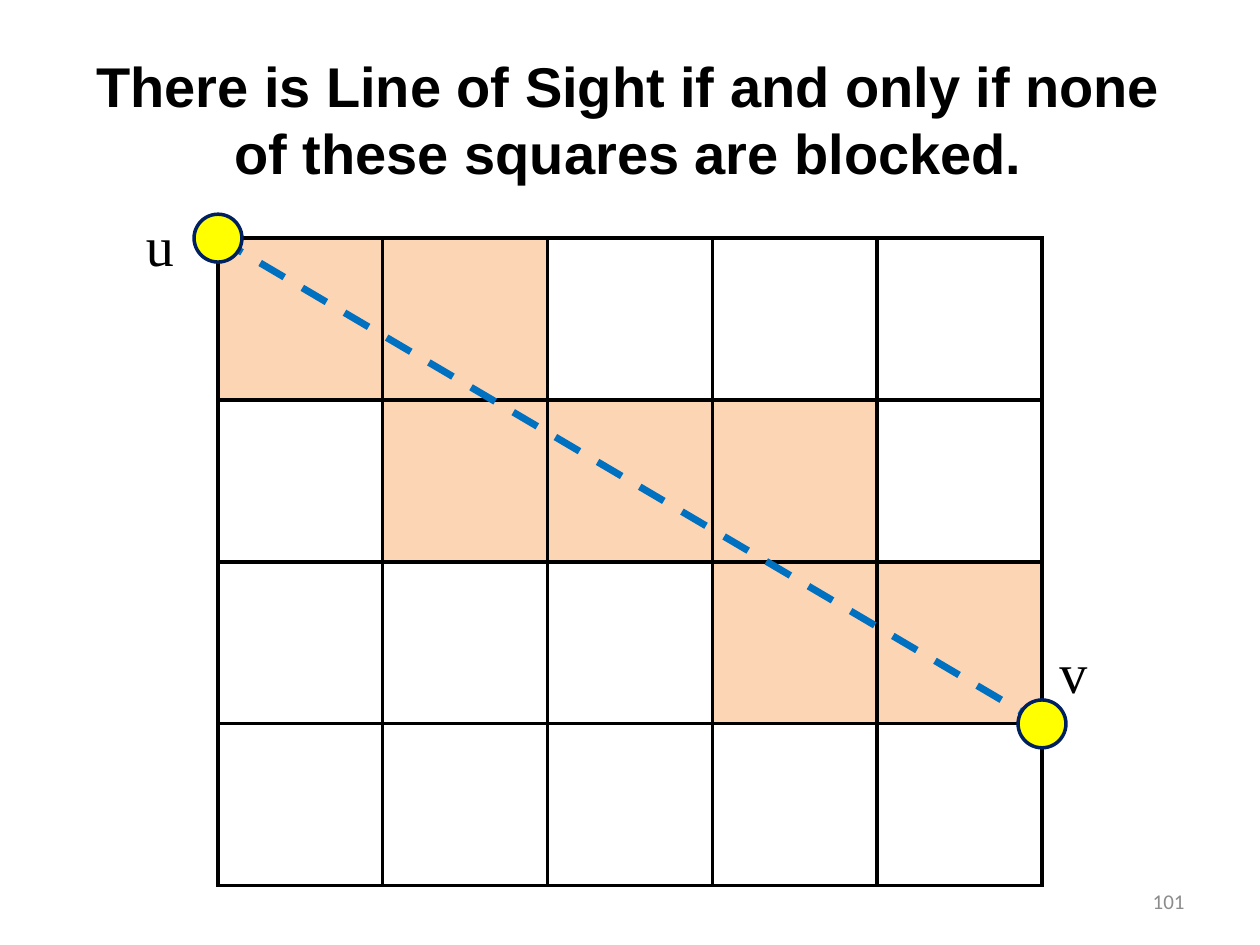
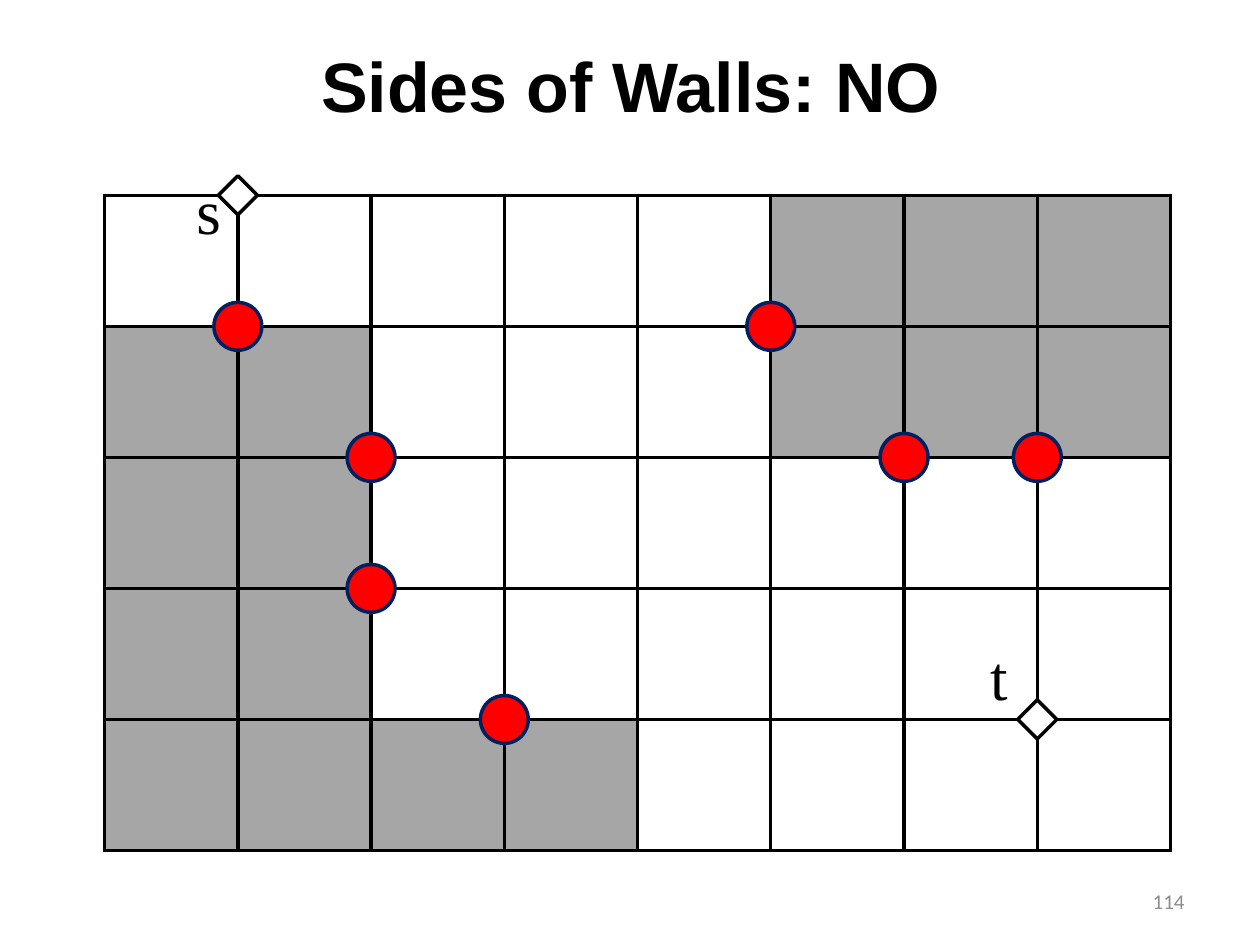
import pptx
import pptx.util
import pptx.dml.color
import pptx.enum.dml
import pptx.enum.shapes
import pptx.enum.text
import pptx.oxml
import pptx.oxml.ns
from lxml import etree

SHAPE = pptx.enum.shapes.MSO_SHAPE
ALIGN = pptx.enum.text.PP_ALIGN
ANCHOR = pptx.enum.text.MSO_ANCHOR

COLOURS = {
    "ink": "000000", "number": "8C8C8C", "outline": "002060", "sight": "0070C0",
    "crossed": "FCD5B5", "wall": "A6A6A6", "end": "FFFF00", "wall side": "FF0000",
    "plain": "FFFFFF",
}
MARKS = {
    "end": (SHAPE.OVAL, 0.38, "end", "outline"),
    "wall side": (SHAPE.OVAL, 0.38, "wall side", "outline"),
    "terminal": (SHAPE.DIAMOND, 0.31, "plain", "ink"),
}
NUMBER_BOX = (7.17, 6.95, 2.33, 0.4)
BORDER_WIDTH = 2.25

SLIDES = [
    {
        "title": ["There is Line of Sight if and only if none",
                  "of these squares are blocked."],
        "title box": (0.1, 0.36, 9.78, 1.18), "title size": 32, "title wrap": True,
        "grid box": (1.73, 1.89, 6.54, 5.14),
        "squares": ["##...",
                    ".###.",
                    "...##",
                    "....."],
        "square colour": "crossed",
        "sight": [((0, 0), (5, 3))],
        "marks": {"end": [(0, 0), (5, 3)]},
        "labels": [("u", (1.06, 1.62, 0.45, 0.64)), ("v", (8.31, 5.01, 0.43, 0.64))],
        "label size": 32, "label wrap": False,
        "number": "101",
    },
    {
        "title": ["Sides of Walls: NO"],
        "title box": (2.42, 0.29, 5.17, 0.77), "title size": 40, "title wrap": False,
        "grid box": (0.83, 1.55, 8.46, 5.2),
        "squares": [".....###",
                    "##...###",
                    "##......",
                    "##......",
                    "####...."],
        "square colour": "wall",
        "sight": [],
        "marks": {"wall side": [(5, 1), (7, 2), (2, 3), (1, 1), (2, 2), (6, 2), (3, 4)],
                  "terminal": [(1, 0), (7, 4)]},
        "labels": [("s", (1.46, 1.31, 0.44, 0.71)), ("t", (7.76, 5.01, 0.44, 0.71))],
        "label size": 36, "label wrap": True,
        "number": "114",
    },
]


def inches(lengths):
    return [pptx.util.Inches(length) for length in lengths]


def rgb(name):
    return pptx.dml.color.RGBColor.from_string(COLOURS[name])


def add_text(slide, lines, box, size, font, colour="ink", align=ALIGN.LEFT,
             bold=False, wrap=True, anchor=ANCHOR.TOP):
    frame = slide.shapes.add_textbox(*inches(box)).text_frame
    frame.word_wrap = wrap
    frame.vertical_anchor = anchor
    frame.text = "\n".join(lines)
    for paragraph in frame.paragraphs:
        paragraph.alignment = align
        paragraph.font.name = font
        paragraph.font.size = pptx.util.Pt(size)
        paragraph.font.bold = bold
        paragraph.font.color.rgb = rgb(colour)


def add_borders(cell):
    properties = cell._tc.get_or_add_tcPr()
    for side in ("lnL", "lnR", "lnT", "lnB"):
        properties.append(pptx.oxml.parse_xml(
            f'<a:{side} {pptx.oxml.ns.nsdecls("a")} w="{pptx.util.Pt(BORDER_WIDTH)}">'
            f'<a:solidFill><a:srgbClr val="{COLOURS["ink"]}"/></a:solidFill></a:{side}>'))


def add_grid(slide, squares, box, colour):
    rows, columns = len(squares), len(squares[0])
    grid = slide.shapes.add_table(rows, columns, *inches(box)).table
    grid.first_row = grid.horz_banding = False
    for column in grid.columns:
        column.width = pptx.util.Inches(box[2] / columns)
    for row, marks in zip(grid.rows, squares):
        row.height = pptx.util.Inches(box[3] / rows)
        for cell, mark in zip(row.cells, marks):
            add_borders(cell)
            if mark == "#":
                cell.fill.solid()
                cell.fill.fore_color.rgb = rgb(colour)
            else:
                cell.fill.background()


def add_sight(slide, start, end):
    sight = slide.shapes.add_connector(
        pptx.enum.shapes.MSO_CONNECTOR.STRAIGHT, *inches(start + end))
    sight.line.color.rgb = rgb("sight")
    sight.line.width = pptx.util.Pt(4)
    sight.line.dash_style = pptx.enum.dml.MSO_LINE.DASH
    etree.SubElement(sight._element.spPr, pptx.oxml.ns.qn("a:effectLst"))


def add_mark(slide, kind, centre):
    outline, size, fill, line = MARKS[kind]
    x, y = centre
    mark = slide.shapes.add_shape(outline, *inches((x - size / 2, y - size / 2, size, size)))
    mark.shadow.inherit = False
    mark.fill.solid()
    mark.fill.fore_color.rgb = rgb(fill)
    mark.line.color.rgb = rgb(line)
    mark.line.width = pptx.util.Pt(2)


def add_slide(deck, content):
    slide = deck.slides.add_slide(deck.slide_layouts[6])
    squares, box = content["squares"], content["grid box"]
    left, top, width, height = box

    def corner(column, row):
        return left + column * width / len(squares[0]), top + row * height / len(squares)

    add_grid(slide, squares, box, content["square colour"])
    for start, end in content["sight"]:
        add_sight(slide, corner(*start), corner(*end))
    for label, label_box in content["labels"]:
        add_text(slide, [label], label_box, content["label size"], "Times New Roman",
                 wrap=content["label wrap"])
    for kind, corners in content["marks"].items():
        for place in corners:
            add_mark(slide, kind, corner(*place))
    add_text(slide, content["title"], content["title box"], content["title size"], "Arial",
             align=ALIGN.CENTER, bold=True, wrap=content["title wrap"])
    add_text(slide, [content["number"]], NUMBER_BOX, 12, "Calibri", "number",
             align=ALIGN.RIGHT, anchor=ANCHOR.MIDDLE)


def main():
    """Build the line-of-sight and wall-side grid slides."""
    deck = pptx.Presentation()
    deck.slide_width, deck.slide_height = inches((10, 7.5))
    for content in SLIDES:
        add_slide(deck, content)
    deck.save("out.pptx")


if __name__ == "__main__":
    main()
